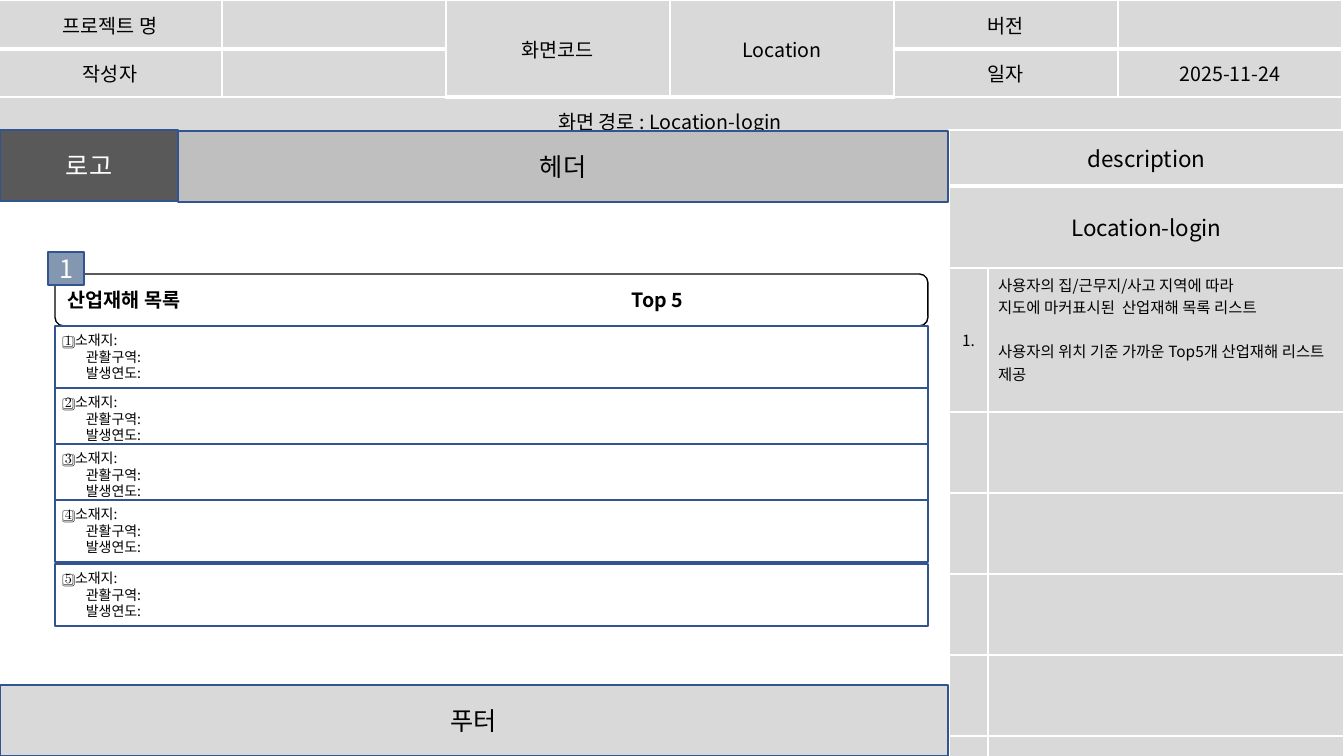
"""Build a screen-plan slide: info table, page wireframe and description table."""
from pptx import Presentation
from pptx.dml.color import RGBColor
from pptx.enum.shapes import MSO_SHAPE
from pptx.enum.text import MSO_ANCHOR, PP_ALIGN
from pptx.oxml.ns import qn
from pptx.util import Emu, Pt
from lxml import etree

RECT, ROUND = MSO_SHAPE.RECTANGLE, MSO_SHAPE.ROUNDED_RECTANGLE
LEFT, MID = PP_ALIGN.LEFT, PP_ALIGN.CENTER
TOP, CENTER = MSO_ANCHOR.TOP, MSO_ANCHOR.MIDDLE
FONT = "Noto Sans CJK KR"
BLACK, WHITE, GRAY, BLUE = "000000", "FFFFFF", "D9D9D9", "325491"

INFO = [
    ["프로젝트 명", "", "화면코드", "Location", "버전", ""],
    ["작성자", "", "", "", "일자", "2025-11-24"],
    ["화면 경로 : Location-login", "", "", "", "", ""],
]
INFO_SPANS = [(0, 2, 1, 2), (0, 3, 1, 3), (2, 0, 2, 5)]
NOTES = [
    "사용자의 집/근무지/사고 지역에 따라",
    "지도에 마커표시된  산업재해 목록 리스트",
    "사용자의 위치 기준 가까운 Top5개 산업재해 리스트 제공",
]
DESC = [["description", ""], ["Location-login", ""], ["1.", NOTES]] + [["", ""]] * 5
DESC_SPANS = [(0, 0, 0, 1), (1, 0, 1, 1)]
DESC_ROWS = [56, 82, 144] + [81] * 5
FRAME = [
    (RECT, (178, 131, 770, 71), "BFBFBF", BLUE, "헤더", {"size": 18}),
    (RECT, (0, 130, 178, 71), "595959", BLUE, "로고", {"size": 18, "color": WHITE}),
    (RECT, (0, 685, 948, 71), GRAY, BLUE, "푸터", {"size": 18}),
    (ROUND, (55, 274, 873, 52), WHITE, BLACK, "산업재해 목록\tTop 5",
     {"size": 14, "bold": True, "align": LEFT, "tab": 564}),
    (RECT, (48, 252, 36, 33), "8497B0", BLUE, "1", {"size": 18, "color": WHITE}),
]
LIST_TOPS = [326, 388, 444, 500, 564]
KEYS = ["1️⃣", "2️⃣", "3️⃣", "4️⃣", "5️⃣"]
FIELDS = ["소재지:", "관활구역:", "발생연도:"]


def px(n):
    return Emu(round(n * 914400 / 100.8))


def rgb(code):
    return RGBColor.from_string(code)


def write(frame, text, size, color=BLACK, bold=False, align=MID, tab=0, gaps=(), dents=(), pitch=None):
    lines = [text] if isinstance(text, str) else text
    for i, line in enumerate(lines):
        para = frame.paragraphs[0] if i == 0 else frame.add_paragraph()
        para.alignment = align
        props = para._p.get_or_add_pPr()
        if pitch:
            para.line_spacing = Pt(pitch)
        if i in gaps:
            para.space_before = px(22)
        if i in dents:
            props.set("marL", str(px(21)))
        if tab:
            stops = etree.SubElement(props, qn("a:tabLst"))
            etree.SubElement(stops, qn("a:tab"), pos=str(px(tab)), algn="l")
        run = para.add_run()
        run.text = line
        for key, val in {"size": Pt(size), "bold": bold, "name": FONT}.items():
            setattr(run.font, key, val)
        run.font.color.rgb = rgb(color)
        etree.SubElement(run._r.get_or_add_rPr(), qn("a:ea"), typeface=FONT)


def box(slide, kind, place, fill, line, text, form):
    shape = slide.shapes.add_shape(kind, *map(px, place))
    shape.shadow.inherit = False
    shape.fill.solid()
    shape.fill.fore_color.rgb = rgb(fill)
    shape.line.color.rgb = rgb(line)
    shape.line.width = Pt(1)
    shape.text_frame.word_wrap = True
    shape.text_frame.vertical_anchor = CENTER
    write(shape.text_frame, text, **form)


def edge(cell, row):
    props = cell._tc.get_or_add_tcPr()
    for side in "LRTB":
        if side == "T" and row:
            continue
        width = 3 if side == "B" and row == 0 else 1
        line = etree.SubElement(props, qn("a:ln" + side), w=str(Pt(width)))
        solid = etree.SubElement(line, qn("a:solidFill"))
        etree.SubElement(solid, qn("a:srgbClr"), val=WHITE)


def grid(slide, left, top, cols, rows, data, spans, form):
    place = map(px, (left, top, sum(cols), sum(rows)))
    table = slide.shapes.add_table(len(rows), len(cols), *place).table
    table.first_row = table.horz_banding = False
    for col, width in zip(table.columns, cols):
        col.width = px(width)
    for row, height in zip(table.rows, rows):
        row.height = px(height)
    for r0, c0, r1, c1 in spans:
        table.cell(r0, c0).merge(table.cell(r1, c1))
    for r, line in enumerate(data):
        for c, text in enumerate(line):
            cell = table.cell(r, c)
            edge(cell, r)
            cell.fill.solid()
            cell.fill.fore_color.rgb = rgb(GRAY)
            if text:
                cell.vertical_anchor, style = form(r, c)
                write(cell.text_frame, text, **style)


def desc_form(r, c):
    if r < 2:
        return CENTER, {"size": 16}
    if c == 0:
        return CENTER, {"size": 11}
    return TOP, {"size": 11, "align": LEFT, "gaps": (2,)}


def main():
    prs = Presentation()
    prs.slide_width, prs.slide_height = px(1344), px(756)
    slide = prs.slides.add_slide(prs.slide_layouts[6])
    grid(slide, -2, 0, [224] * 6, [49, 48, 48], INFO, INFO_SPANS,
         lambda r, c: (CENTER, {"size": 14}))
    grid(slide, 949, 130, [39, 356], DESC_ROWS, DESC, DESC_SPANS, desc_form)
    for part in FRAME:
        box(slide, *part)
    form = {"size": 10, "align": LEFT, "dents": (1, 2), "pitch": 11.8}
    for top, key in zip(LIST_TOPS, KEYS):
        lines = [f"{key} {FIELDS[0]}"] + FIELDS[1:]
        box(slide, RECT, (55, top, 873, 62), WHITE, BLUE, lines, form)
    prs.save("out.pptx")


if __name__ == "__main__":
    main()
